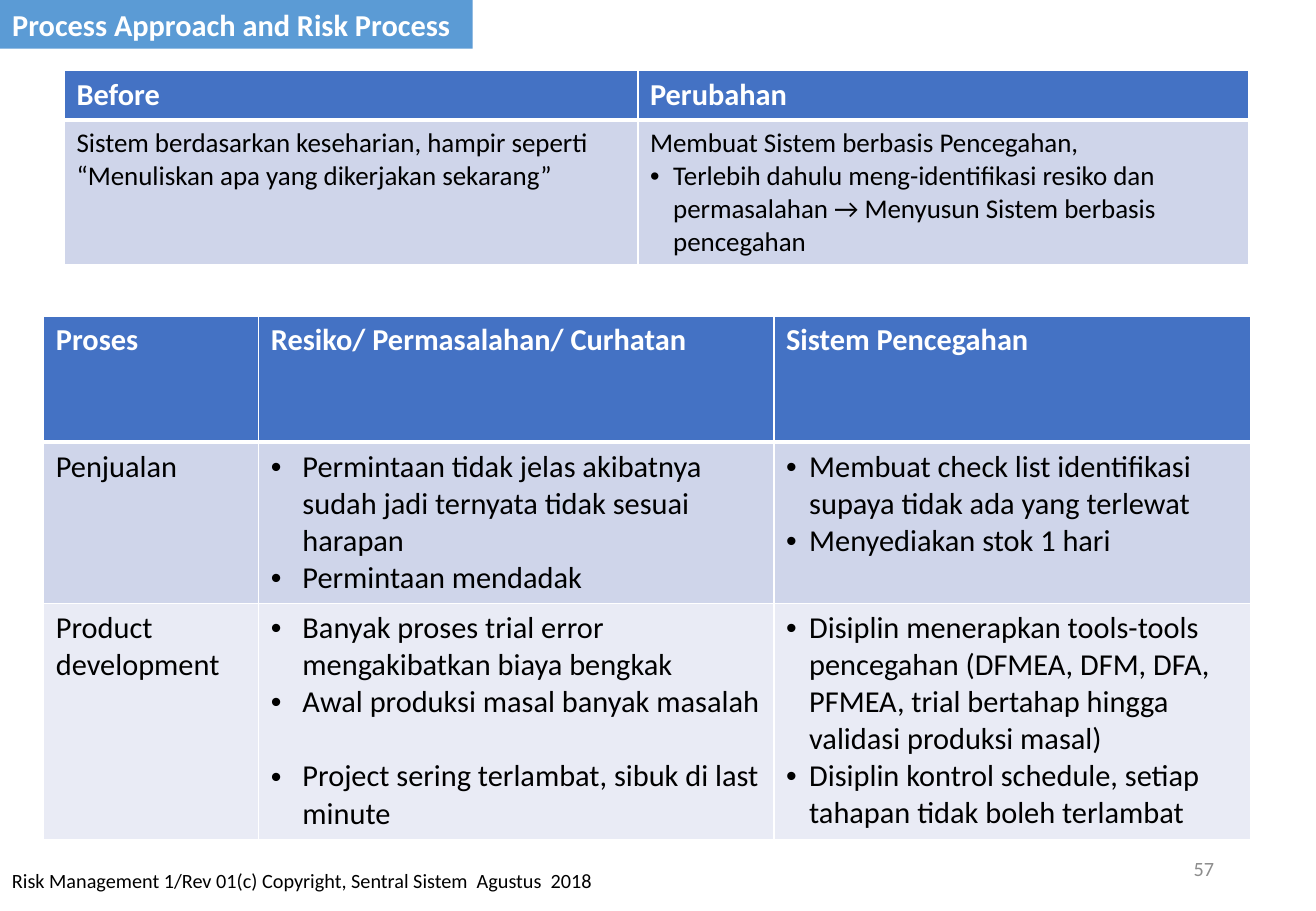
from typing import NamedTuple

from lxml import etree
from pptx import Presentation
from pptx.dml.color import RGBColor
from pptx.enum.text import MSO_ANCHOR, MSO_AUTO_SIZE, PP_ALIGN
from pptx.oxml.ns import qn
from pptx.util import Emu, Pt

LEFT, RIGHT = PP_ALIGN.LEFT, PP_ALIGN.RIGHT
TOP, MIDDLE = MSO_ANCHOR.TOP, MSO_ANCHOR.MIDDLE
NO_FIT = MSO_AUTO_SIZE.NONE

PX = 9144  # EMU per px, 100 px to the inch
FONT = "Calibri"
TITLE_ONLY = 5
COLORS = {
    "white": "FFFFFF",
    "black": "000000",
    "grey": "8C8C8C",
    "title": "5B9BD5",
    "header": "4472C4",
    "band_dark": "CFD5EA",
    "band_light": "E9EBF5",
}


class Para(NamedTuple):
    text: str
    indent: int = 0
    gap: int = 0


class TableSpec(NamedTuple):
    left: int
    top: int
    cols: list[int]
    rows: list[int]
    headers: list[str]
    body: list[list[list[Para]]]
    size: int


class Label(NamedTuple):
    text: str
    left: int
    top: int
    width: int
    height: int
    color: str
    align: PP_ALIGN
    anchor: MSO_ANCHOR


TABLES = [
    TableSpec(
        53, 58, [472, 503], [41, 118], ["Before", "Perubahan"],
        [[
            [Para("Sistem berdasarkan keseharian, hampir seperti “Menuliskan apa yang dikerjakan sekarang”")],
            [Para("Membuat Sistem berbasis Pencegahan,"),
             Para("Terlebih dahulu meng-identifikasi resiko dan permasalahan → Menyusun Sistem berbasis pencegahan", 19)],
        ]],
        16,
    ),
    TableSpec(
        36, 260, [177, 424, 392], [104, 133, 194],
        ["Proses", "Resiko/ Permasalahan/ Curhatan", "Sistem Pencegahan"],
        [
            [
                [Para("Penjualan")],
                [Para("Permintaan tidak jelas akibatnya sudah jadi ternyata tidak sesuai harapan", 26),
                 Para("Permintaan mendadak", 26)],
                [Para("Membuat check list identifikasi supaya tidak ada yang terlewat", 19),
                 Para("Menyediakan stok 1 hari", 19)],
            ],
            [
                [Para("Product development")],
                [Para("Banyak proses trial error mengakibatkan biaya bengkak", 26),
                 Para("Awal produksi masal banyak masalah", 26, 22),
                 Para("Project sering terlambat, sibuk di last minute", 26)],
                [Para("Disiplin menerapkan tools-tools pencegahan (DFMEA, DFM, DFA, PFMEA, "
                      "trial bertahap hingga validasi produksi masal)", 19),
                 Para("Disiplin kontrol schedule, setiap tahapan tidak boleh terlambat", 19)],
            ],
        ],
        18,
    ),
]

LABELS = [
    Label("Risk Management 1/Rev 01(c) Copyright, Sentral Sistem  Agustus  2018",
          0, 710, 642, 40, "black", LEFT, TOP),
    Label("57", 765, 695, 244, 40, "grey", RIGHT, MIDDLE),
]


def px(n: int) -> Emu:
    return Emu(n * PX)


def rgb(name: str) -> RGBColor:
    return RGBColor.from_string(COLORS[name])


def style(p, size: int, color: str, bold: bool = False) -> None:
    for r in p.runs:
        r.font.name = FONT
        r.font.size = Pt(size)
        r.font.bold = bold
        r.font.color.rgb = rgb(color)


def add_bullet(p, indent: int) -> None:
    pPr = p._p.get_or_add_pPr()
    pPr.set("marL", str(px(indent)))
    pPr.set("indent", str(-px(indent)))
    etree.SubElement(pPr, qn("a:buFont"), typeface="Arial")
    etree.SubElement(pPr, qn("a:buChar"), char="•")


def add_borders(cell, top: int, bottom: int) -> None:
    tcPr = cell._tc.get_or_add_tcPr()
    for side, width in (("L", 1), ("R", 1), ("T", top), ("B", bottom)):
        ln = etree.SubElement(tcPr, qn(f"a:ln{side}"), w=str(Pt(width)))
        fill = etree.SubElement(ln, qn("a:solidFill"))
        etree.SubElement(fill, qn("a:srgbClr"), val=COLORS["white"])


def fill_cell(cell, paras: list[Para], row: int, size: int) -> None:
    header = row == 0
    add_borders(cell, 3 if row == 1 else 1, 3 if header else 1)
    cell.fill.solid()
    cell.fill.fore_color.rgb = rgb("header" if header else "band_dark" if row % 2 else "band_light")
    tf = cell.text_frame
    for i, para in enumerate(paras):
        p = tf.add_paragraph() if i else tf.paragraphs[0]
        p.text = para.text
        if para.indent:
            add_bullet(p, para.indent)
        if para.gap:
            p.space_after = Pt(para.gap)
        style(p, 18 if header else size, "white" if header else "black", header)


def draw_table(slide, spec: TableSpec) -> None:
    frame = slide.shapes.add_table(len(spec.rows), len(spec.cols), px(spec.left), px(spec.top),
                                   px(sum(spec.cols)), px(sum(spec.rows)))
    table = frame.table
    for col, width in zip(table.columns, spec.cols):
        col.width = px(width)
    for row, height in zip(table.rows, spec.rows):
        row.height = px(height)
    content = [[[Para(h)] for h in spec.headers], *spec.body]
    for r, cells in enumerate(content):
        for c, paras in enumerate(cells):
            fill_cell(table.cell(r, c), paras, r, spec.size)


def draw_label(slide, label: Label) -> None:
    sp = slide.shapes.add_textbox(px(label.left), px(label.top), px(label.width), px(label.height))
    tf = sp.text_frame
    tf.word_wrap = True
    tf.vertical_anchor = label.anchor
    tf.text = label.text
    p = tf.paragraphs[0]
    p.alignment = label.align
    style(p, 12, label.color)


def draw_title(slide, text: str) -> None:
    sp = slide.shapes.title
    sp.left, sp.top, sp.width, sp.height = px(0), px(0), px(389), px(40)
    sp.fill.solid()
    sp.fill.fore_color.rgb = rgb("title")
    tf = sp.text_frame
    tf.text = text
    tf.word_wrap = False
    tf.auto_size = NO_FIT
    tf.vertical_anchor = TOP
    p = tf.paragraphs[0]
    p.alignment = LEFT
    style(p, 18, "white", True)


def main() -> None:
    prs = Presentation()
    prs.slide_width, prs.slide_height = px(1083), px(750)
    slide = prs.slides.add_slide(prs.slide_layouts[TITLE_ONLY])

    # Title bar
    draw_title(slide, "Process Approach and Risk Process")
    # Comparison and risk tables
    for spec in TABLES:
        draw_table(slide, spec)
    # Footer and page number
    for label in LABELS:
        draw_label(slide, label)

    prs.save("out.pptx")


if __name__ == "__main__":
    main()
